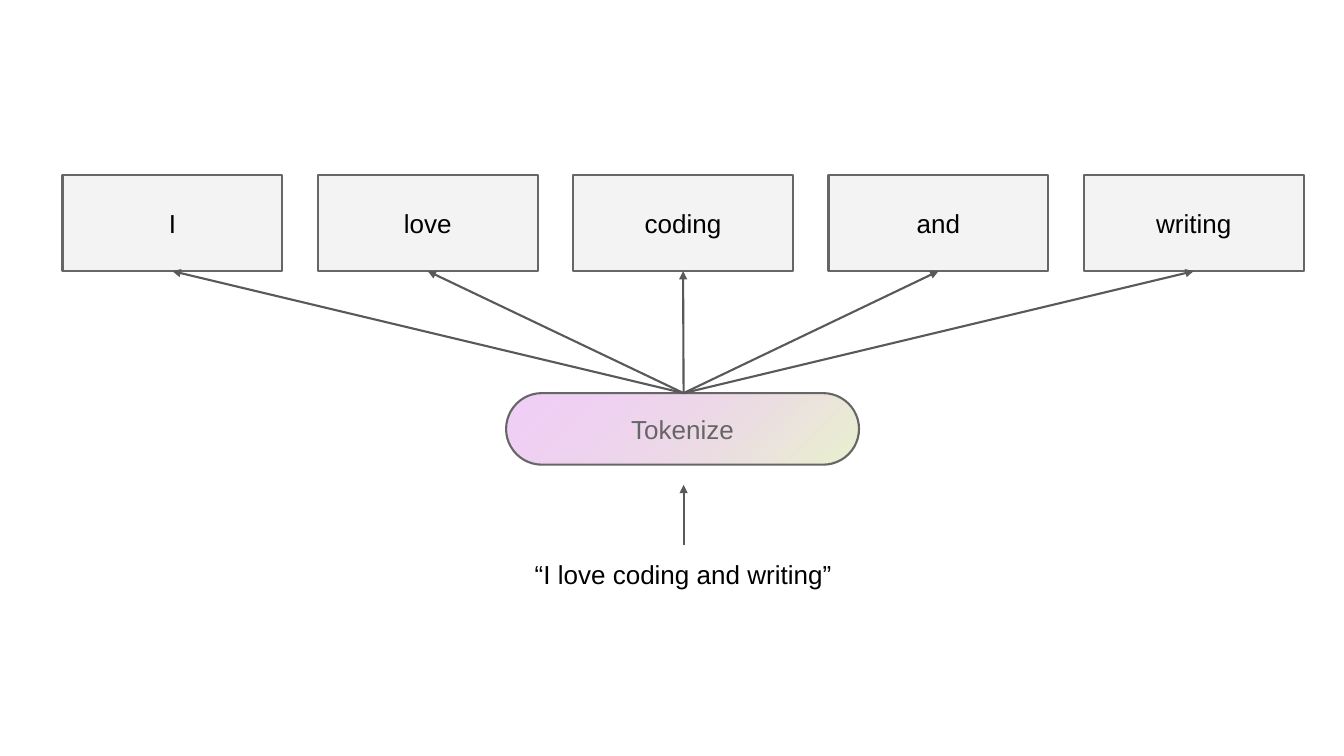
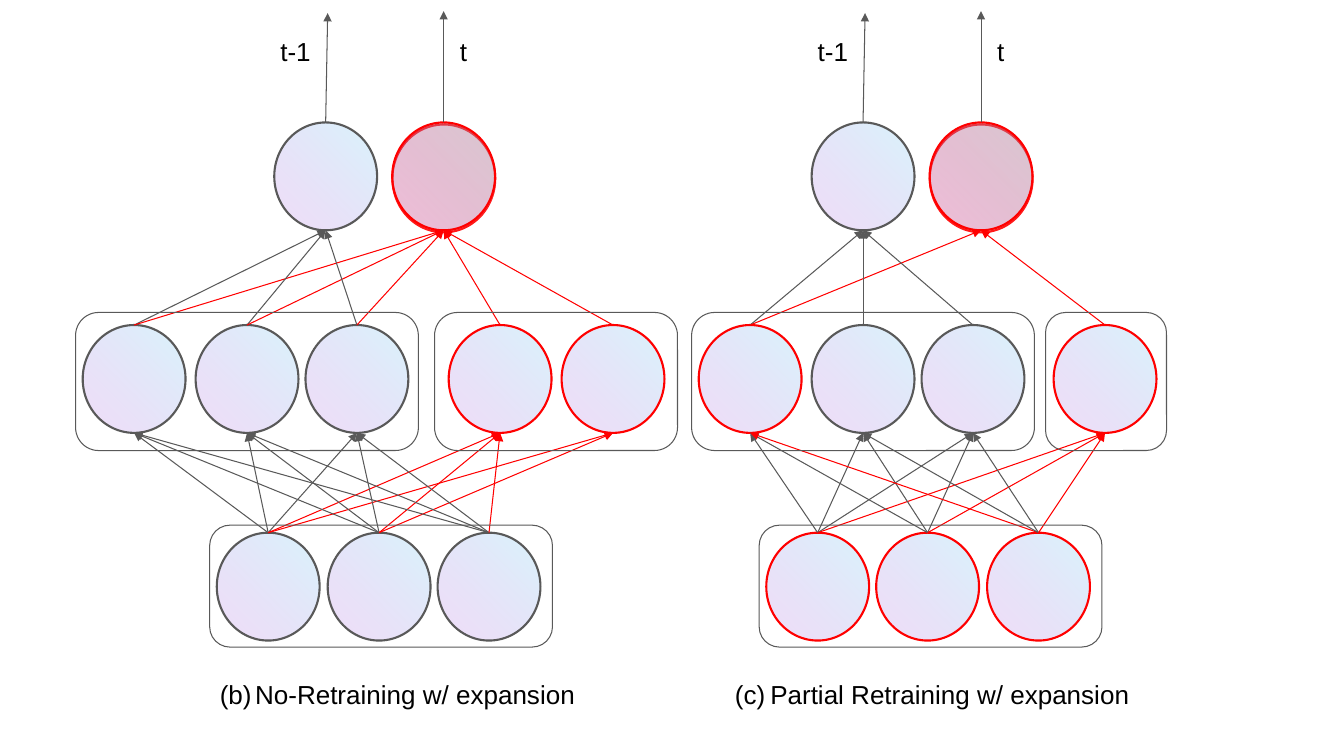
from dataclasses import dataclass
from typing import Optional

from lxml import etree
from pptx import Presentation
from pptx.dml.color import RGBColor
from pptx.enum.shapes import MSO_CONNECTOR, MSO_SHAPE
from pptx.enum.text import MSO_ANCHOR, PP_ALIGN
from pptx.oxml.ns import qn
from pptx.util import Inches, Pt

RECT, OVAL = MSO_SHAPE.RECTANGLE, MSO_SHAPE.OVAL
ROUND = MSO_SHAPE.ROUNDED_RECTANGLE
STRAIGHT = MSO_CONNECTOR.STRAIGHT
LEFT, CENTER = PP_ALIGN.LEFT, PP_ALIGN.CENTER
TOP, MIDDLE = MSO_ANCHOR.TOP, MSO_ANCHOR.MIDDLE

# Shared style
WIDE, HIGH = 13.33, 7.5
FONT, SIZE, INSET = "Arial", 18.6, 0.13
BLACK = RGBColor(0x00, 0x00, 0x00)
GRAY = RGBColor(0x59, 0x59, 0x59)
EDGE = RGBColor(0x66, 0x66, 0x66)
PALE = RGBColor(0xF3, 0xF3, 0xF3)
RED = RGBColor(0xFF, 0x00, 0x00)
GREEN = RGBColor(0xE0, 0xED, 0xBA)
PINK = RGBColor(0xDE, 0x87, 0xF1)
BLUE = RGBColor(0x69, 0xD4, 0xF4)
PURPLE = RGBColor(0x9F, 0x39, 0xD5)
INK = {"g": GRAY, "r": RED}
THIN, THICK = 0.75, 1.5

# Network rows
NODE_W, NODE_H = 1.02, 1.07
OUT_Y, MID_Y, LOW_Y = 1.75, 3.76, 5.82
HALF = NODE_H / 2


@dataclass(frozen=True)
class Blend:
    """Two-stop gradient: colours, opacities in percent, angle."""
    tones: tuple[RGBColor, RGBColor]
    alphas: tuple[int, int]
    angle: int


@dataclass(frozen=True)
class Row:
    """Node centres across, and one colour letter per node."""
    xs: tuple[float, ...]
    inks: str


@dataclass(frozen=True)
class Net:
    """One panel; links hold a colour letter per target, '-' for none."""
    low: Row
    mid: Row
    out: Row
    rise: tuple[str, ...]
    top: tuple[str, ...]
    frames: tuple[tuple[float, float], ...]
    base: float
    title: str
    start: int
    span: tuple[float, float]


PILL = Blend((GREEN, PINK), (71, 40), 135)
ORB = Blend((BLUE, PURPLE), (26, 17), 225)

NETS = (
    Net(Row((2.66, 3.76, 4.85), "ggg"),
        Row((1.33, 2.45, 3.54, 4.96, 6.08), "gggrr"),
        Row((3.23, 4.4), "gr"),
        ("gggrr", "gggrr", "gggr-"), ("gr", "gr", "gr", "-r", "-r"),
        ((0.75, 3.4), (4.31, 2.41)), 2.08,
        "No-Retraining w/ expansion", 2, (1.9, 4.22)),
    Net(Row((8.11, 9.2, 10.3), "rrr"),
        Row((7.44, 8.56, 9.65, 10.96), "rggr"),
        Row((8.56, 9.73), "gr"),
        ("gggr", "gggr", "rggr"), ("gr", "g-", "g-", "-r"),
        ((6.86, 3.4), (10.37, 1.2)), 7.53,
        "Partial Retraining w/ expansion", 3, (7.01, 4.58)),
)


def write(box, words: str, *, color: RGBColor = BLACK, align=LEFT,
          anchor=TOP, start: Optional[int] = None) -> None:
    """Set the text of a box; start numbers it as (a), (b), ..."""
    frame = box.text_frame
    frame.word_wrap, frame.vertical_anchor = True, anchor
    frame.margin_left = frame.margin_right = Inches(INSET)
    frame.margin_top = frame.margin_bottom = Inches(INSET)
    para = frame.paragraphs[0]
    para.alignment = align
    run = para.add_run()
    run.text = words
    run.font.name, run.font.size = FONT, Pt(SIZE)
    run.font.color.rgb = color
    if start is not None:
        props = para._p.get_or_add_pPr()
        props.set("marL", str(Inches(0.5)))
        props.set("indent", str(Inches(-0.35)))
        tone = etree.SubElement(props, qn("a:buClr"))
        etree.SubElement(tone, qn("a:srgbClr"), val=str(color))
        etree.SubElement(props, qn("a:buFont"), typeface=FONT)
        etree.SubElement(props, qn("a:buAutoNum"),
                         type="alphaLcParenBoth", startAt=str(start))


def label(slide, x: float, y: float, w: float, h: float, words: str,
          **style) -> None:
    box = slide.shapes.add_textbox(Inches(x), Inches(y), Inches(w), Inches(h))
    write(box, words, **style)


def shape(slide, kind, x: float, y: float, w: float, h: float, *,
          fill=None, line: RGBColor = GRAY, width: float = THICK):
    """Add a preset shape filled with a colour, a blend or nothing."""
    item = slide.shapes.add_shape(kind, Inches(x), Inches(y),
                                  Inches(w), Inches(h))
    item.shadow.inherit = False
    item.line.color.rgb, item.line.width = line, Pt(width)
    if fill is None:
        item.fill.background()
    elif isinstance(fill, Blend):
        item.fill.gradient()
        item.fill.gradient_angle = fill.angle
        for stop, tone in zip(item.fill.gradient_stops, fill.tones):
            stop.color.rgb = tone
        grad = item._element.spPr.find(qn("a:gradFill"))
        for tone, part in zip(grad.iter(qn("a:srgbClr")), fill.alphas):
            etree.SubElement(tone, qn("a:alpha"), val=str(part * 1000))
    else:
        item.fill.solid()
        item.fill.fore_color.rgb = fill
    return item


def arrow(slide, x1: float, y1: float, x2: float, y2: float, *,
          color: RGBColor = GRAY, width: float = THIN) -> None:
    link = slide.shapes.add_connector(STRAIGHT, Inches(x1), Inches(y1),
                                      Inches(x2), Inches(y2))
    link.line.color.rgb, link.line.width = color, Pt(width)
    etree.SubElement(link.line._get_or_add_ln(), qn("a:tailEnd"),
                     type="triangle")
    etree.SubElement(link._element.spPr, qn("a:effectLst"))


def glow(item) -> None:
    """Give a shape a close red shadow."""
    effect = item._element.spPr.find(qn("a:effectLst"))
    shade = etree.SubElement(effect, qn("a:outerShdw"), dist=str(Pt(1.5)),
                             dir=str(85 * 60000), algn="bl", rotWithShape="0")
    tone = etree.SubElement(shade, qn("a:srgbClr"), val=str(RED))
    etree.SubElement(tone, qn("a:alpha"), val="89000")


def nodes(slide, row: Row, y: float) -> list:
    return [shape(slide, OVAL, x - NODE_W / 2, y - HALF, NODE_W, NODE_H,
                  fill=ORB, line=INK[ink])
            for x, ink in zip(row.xs, row.inks)]


def links(slide, src: Row, y1: float, dst: Row, y2: float,
          grid: tuple[str, ...]) -> None:
    for x1, inks in zip(src.xs, grid):
        for x2, ink in zip(dst.xs, inks):
            if ink in INK:
                arrow(slide, x1, y1 - HALF, x2, y2 + HALF, color=INK[ink])


def tokens(slide) -> None:
    """Sentence, tokenizer and its five tokens."""
    words = ("I", "love", "coding", "and", "writing")
    left, top, wide, high = 0.62, 1.74, 2.18, 0.95
    step = (10.75 - left) / (len(words) - 1)
    mid, hub = 6.78, 3.9
    pill = shape(slide, ROUND, 5.02, hub, 3.5, 0.71, fill=PILL, line=EDGE)
    pill.adjustments[0] = 0.5
    write(pill, "Tokenize", color=EDGE, align=CENTER, anchor=MIDDLE)
    for i, word in enumerate(words):
        x = left + i * step
        box = shape(slide, RECT, x, top, wide, high, fill=PALE, line=EDGE)
        write(box, word, align=CENTER, anchor=MIDDLE)
        arrow(slide, mid, hub, x + wide / 2, top + high, width=THICK)
    label(slide, 5.07, 5.41, 3.41, 0.61, "“I love coding and writing”",
          align=CENTER)
    arrow(slide, mid, 5.41, mid, 4.81, width=THICK)


def network(slide, net: Net) -> None:
    """One three-row network with its caption."""
    nodes(slide, net.low, LOW_Y)
    nodes(slide, net.mid, MID_Y)
    glow(nodes(slide, net.out, OUT_Y)[-1])
    links(slide, net.low, LOW_Y, net.mid, MID_Y, net.rise)
    links(slide, net.mid, MID_Y, net.out, OUT_Y, net.top)

    # Outputs
    past, now = net.out.xs
    arrow(slide, past, OUT_Y - HALF, past + 0.02, 0.13)
    arrow(slide, now, OUT_Y - HALF, now, 0.11)
    label(slide, past - 0.58, 0.22, 0.65, 0.58, "t-1")
    label(slide, now + 0.03, 0.22, 0.31, 0.58, "t")

    # Frames and caption
    areas = [(x, 3.1, w, 1.37) for x, w in net.frames]
    for area in areas + [(net.base, 5.21, 3.4, 1.21)]:
        shape(slide, ROUND, *area, width=THIN)
    x, w = net.span
    label(slide, x, 6.6, w, 0.58, net.title, start=net.start)


def main() -> None:
    deck = Presentation()
    deck.slide_width, deck.slide_height = Inches(WIDE), Inches(HIGH)
    blank = deck.slide_layouts[6]
    tokens(deck.slides.add_slide(blank))
    board = deck.slides.add_slide(blank)
    for net in NETS:
        network(board, net)
    deck.save("out.pptx")


if __name__ == "__main__":
    main()
